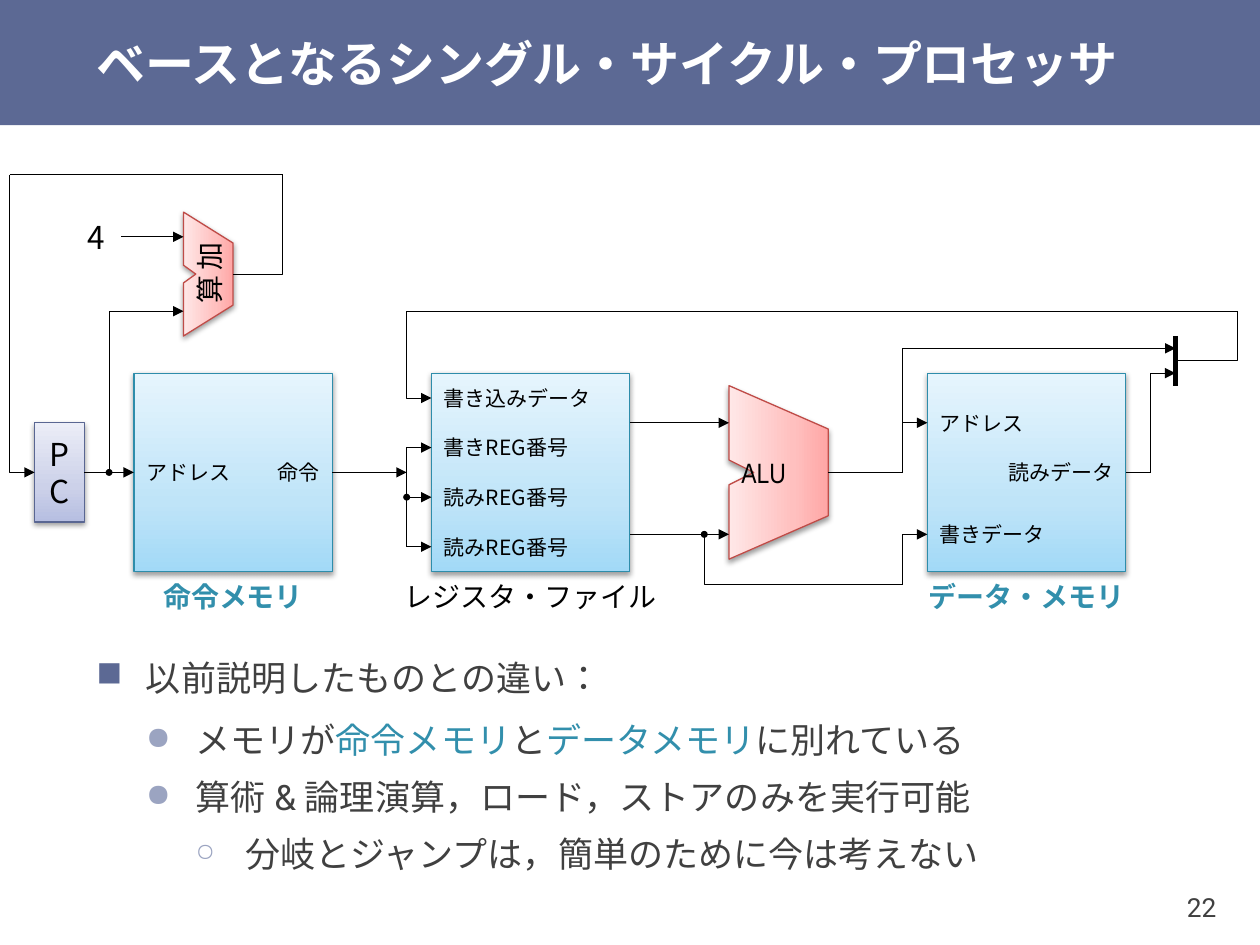
from pptx import Presentation
from pptx.dml.color import RGBColor
from pptx.enum.shapes import MSO_CONNECTOR, MSO_SHAPE
from pptx.enum.text import MSO_ANCHOR, PP_ALIGN
from pptx.oxml import parse_xml
from pptx.oxml.ns import nsdecls, qn
from pptx.util import Pt

INK = {"bar": "5C6994", "text": "404040", "black": "000000", "white": "FFFFFF",
       "teal": "328FAC", "dot": "9BA4C1"}
# Gradient from bottom to top, then the outline
HUES = {"blue": ("A2D9F7", "BFE4F8", "E6F5FD", "2E8DAB"),
        "red": ("FFA6A5", "FFC0BF", "FFE7E7", "BF4C48"),
        "plum": ("B6BEE1", "CCD1E9", "EBEDF7", "596692")}
SANS, CJK = "Roboto", "Noto Sans CJK JP"
UNIT = 14.17  # grid step of the diagram

# Corners in grid steps, start mark, end mark
WIRES = [
    ([(3, 12), (5, 12)], None, "triangle"),
    ([(4, 12), (4, 5.5), (7, 5.5)], "oval", "triangle"),
    ([(4.5, 2.5), (7, 2.5)], None, "triangle"),
    ([(0, 0), (0, 12), (1, 12)], None, "triangle"),
    ([(9, 4), (11, 4), (11, 0)], None, None),
    ([(0, 0), (11, 0)], None, None),
    ([(13, 12), (16, 12)], None, "triangle"),
    ([(16, 15), (16, 11), (17, 11)], None, "triangle"),
    ([(16, 13), (17, 13)], "oval", "triangle"),
    ([(16, 15), (17, 15)], None, "triangle"),
    ([(16, 5.5), (16, 9), (17, 9)], None, "triangle"),
    ([(25, 10), (29, 10)], None, "triangle"),
    ([(25, 14.5), (29, 14.5)], None, "triangle"),
    ([(28, 14.5), (28, 16.5), (36, 16.5)], "oval", None),
    ([(36, 16.5), (36, 14.5), (37, 14.5)], None, "triangle"),
    ([(33, 12), (36, 12)], None, None),
    ([(36, 12), (36, 10), (37, 10)], None, "triangle"),
    ([(36, 10), (36, 7), (47, 7)], None, "triangle"),
    ([(45, 12), (46, 12)], None, None),
    ([(46, 12), (46, 8), (47, 8)], None, "triangle"),
    ([(47, 7.5), (49.5, 7.5), (49.5, 5.5)], None, None),
    ([(49.5, 5.5), (16, 5.5)], None, None),
]

NOTES = [
    (0, "■", 100, [("以前説明したものとの違い：", "text")]),
    (1, "●", 90, [("メモリが", "text"), ("命令メモリ", "teal"), ("と", "text"),
                  ("データメモリ", "teal"), ("に別れている", "text")]),
    (1, "●", 90, [("算術 & 論理演算，ロード，ストアのみを実行可能", "text")]),
    (2, "○", 70, [("分岐とジャンプは，簡単のために今は考えない", "text")]),
]


def rgb(name):
    return RGBColor.from_string(INK[name])


def style(run, size, color, face=CJK, bold=False):
    font = run.font
    font.size, font.bold, font.name = Pt(size), bold, face
    font.color.rgb = rgb(color)
    props = run._r.get_or_add_rPr()
    props.set("lang", "ja-JP")
    props.find(qn("a:latin")).addnext(
        parse_xml(f'<a:ea {nsdecls("a")} typeface="{face}"/>'))


def write(shape, text, size, color="black", face=CJK, align=PP_ALIGN.LEFT,
          bold=False, pad=(7.2, 3.6)):
    """Fill a shape with one paragraph, centred in height."""
    frame = shape.text_frame
    frame.text = text
    frame.word_wrap, frame.vertical_anchor = True, MSO_ANCHOR.MIDDLE
    frame.margin_left = frame.margin_right = Pt(pad[0])
    frame.margin_top = frame.margin_bottom = Pt(pad[1])
    para = frame.paragraphs[0]
    para.alignment = align
    style(para.runs[0], size, color, face, bold)


def glaze(shape, hue):
    """Give a part its gradient, outline and soft shadow."""
    low, mid, high, edge = HUES[hue]
    stops = "".join(f'<a:gs pos="{pos}000"><a:srgbClr val="{val}"/></a:gs>'
                    for pos, val in ((0, low), (35, mid), (100, high)))
    shape.fill.background()
    props = shape._element.spPr
    props.replace(props.find(qn("a:noFill")), parse_xml(
        f'<a:gradFill {nsdecls("a")} rotWithShape="1"><a:gsLst>{stops}</a:gsLst>'
        '<a:lin ang="16200000" scaled="1"/></a:gradFill>'))
    shape.line.color.rgb = RGBColor.from_string(edge)
    shape.line.width = Pt(0.75)
    shape.shadow.inherit = False
    props.find(qn("a:effectLst")).append(parse_xml(
        f'<a:outerShdw {nsdecls("a")} blurRad="40000" dist="20000" dir="5400000"'
        ' rotWithShape="0"><a:srgbClr val="000000"><a:alpha val="38000"/>'
        '</a:srgbClr></a:outerShdw>'))


def block(shapes, left, top, wide, high, hue):
    shape = shapes.add_shape(MSO_SHAPE.RECTANGLE, Pt(left), Pt(top), Pt(wide), Pt(high))
    glaze(shape, hue)
    return shape


def label(shapes, left, top, wide, text, size=12, **look):
    box = shapes.add_textbox(Pt(left), Pt(top), Pt(wide), Pt(2 * UNIT))
    write(box, text, size, **look)


def store(shapes, left, top, name, color, bold, ports):
    """A square memory with port labels inside and its name below."""
    side = 8 * UNIT
    block(shapes, left, top, side, side, "blue")
    for row, text, align in ports:
        label(shapes, left, top + row * UNIT, side, text, align=align, pad=(7.2, 0))
    label(shapes, left - 2 * UNIT, top + side, side + 4 * UNIT, name, 16,
          color=color, bold=bold, align=PP_ALIGN.CENTER, pad=(0, 0))


def unit(shapes, left, top, wide, high, text, face):
    """A notched trapezoid, drawn upright and turned to face right."""
    x, y = left + (wide - high) / 2, top + (high - wide) / 2
    edge = [(0, 0), (3 / 7, 0), (0.5, 0.25), (4 / 7, 0), (1, 0), (0.75, 1), (0.25, 1)]
    pts = [(Pt(x + a * high), Pt(y + b * wide)) for a, b in edge]
    path = shapes.build_freeform(*pts[0])
    path.add_line_segments(pts[1:], close=True)
    shape = path.convert_to_shape()
    shape.rotation = 270
    glaze(shape, "red")
    write(shape, text, 16, face=face, align=PP_ALIGN.CENTER)
    shape.text_frame._txBody.bodyPr.set("vert", "eaVert")


def wire(shapes, pts, head=None, tail=None, width=None):
    """A connector for two points, an open outline for more."""
    pts = [(Pt(x), Pt(y)) for x, y in pts]
    if len(pts) == 2:
        shape = shapes.add_connector(MSO_CONNECTOR.STRAIGHT, *pts[0], *pts[1])
        shape._element.spPr.append(parse_xml(f'<a:effectLst {nsdecls("a")}/>'))
    else:
        path = shapes.build_freeform(*pts[0])
        path.add_line_segments(pts[1:], close=False)
        shape = path.convert_to_shape()
        shape.fill.background()
        shape.shadow.inherit = False
    shape.line.color.rgb = rgb("black")
    shape.line.width = Pt(width or (0.75 if len(pts) == 2 else 0.5))
    for tag, kind, size in (("headEnd", head, "sm"), ("tailEnd", tail, "med")):
        if kind:
            shape._element.spPr.get_or_add_ln().append(parse_xml(
                f'<a:{tag} {nsdecls("a")} type="{kind}" w="{size}" len="{size}"/>'))


def header(slide, wide, high):
    shapes = slide.shapes
    bar = shapes.add_shape(MSO_SHAPE.RECTANGLE, 0, 0, Pt(wide), Pt(high))
    bar.fill.solid()
    bar.fill.fore_color.rgb = rgb("bar")
    bar.line.fill.background()
    bar.shadow.inherit = False
    title = shapes.title
    bar._element.getparent().append(title._element)
    title.left, title.top, title.width, title.height = Pt(48), 0, Pt(wide - 48), Pt(high)
    write(title, "ベースとなるシングル・サイクル・プロセッサ", 28, "white", SANS,
          bold=True, pad=(7.2, 0))


def diagram(shapes, left, top):
    def at(col, row):
        return left + col * UNIT, top + row * UNIT

    near, far = PP_ALIGN.LEFT, PP_ALIGN.RIGHT
    store(shapes, *at(5, 8), "命令メモリ", "teal", True,
          [(3, "アドレス", near), (3, "命令", far)])
    store(shapes, *at(17, 8), "レジスタ・ファイル", "black", False,
          [(2 * row, text, near) for row, text in enumerate(
              ["書き込みデータ", "書きREG番号", "読みREG番号", "読みREG番号"])])
    store(shapes, *at(37, 8), "データ・メモリ", "teal", True,
          [(1, "アドレス", near), (5.5, "書きデータ", near), (3, "読みデータ", far)])
    write(block(shapes, *at(1, 10), 2 * UNIT, 4 * UNIT, "plum"), "PC", 18,
          align=PP_ALIGN.CENTER)
    unit(shapes, *at(29, 8.5), 4 * UNIT, 7 * UNIT, "ALU", "Arial Narrow")
    unit(shapes, *at(7, 1.5), 2 * UNIT, 5 * UNIT, "加算", CJK)
    label(shapes, *at(2.5, 1.5), 2 * UNIT, "4", 18, align=PP_ALIGN.CENTER)
    for pts, head, tail in WIRES:
        wire(shapes, [at(*pt) for pt in pts], head, tail)
    wire(shapes, [at(47, 6.5), at(47, 8.5)], width=3)


def notes(shapes, left, top, wide, high):
    frame = shapes.add_textbox(Pt(left), Pt(top), Pt(wide), Pt(high)).text_frame
    frame.word_wrap = True
    for i, (level, mark, size, parts) in enumerate(NOTES):
        para = frame.paragraphs[0] if i == 0 else frame.add_paragraph()
        para.level, para.line_spacing = level, 1.1
        para.space_after = Pt(3 if level else 6)
        if i:
            para.space_before = Pt(3)
        props = para._p.get_or_add_pPr()
        props.set("marL", str(Pt(28.35 * (level + 1))))
        props.set("indent", str(-Pt(28.35)))
        tint = INK["dot" if level else "bar"]
        for tag in (f'buClr {nsdecls("a")}><a:srgbClr val="{tint}"/></a:buClr>',
                    f'buSzPct {nsdecls("a")} val="{size}000"/>',
                    f'buFont {nsdecls("a")} typeface="OpenSymbol"/>',
                    f'buChar {nsdecls("a")} char="{mark}"/>'):
            props.append(parse_xml("<a:" + tag))
        for text, color in parts:
            run = para.add_run()
            run.text = text
            style(run, 20, color, SANS)


def number(shapes, left, top, wide, high):
    box = shapes.add_textbox(Pt(left), Pt(top), Pt(wide), Pt(high))
    write(box, "22", 15, "text", SANS, PP_ALIGN.RIGHT, pad=(5, 3))


def main():
    deck = Presentation()
    deck.slide_width, deck.slide_height = Pt(720), Pt(540)
    slide = deck.slides.add_slide(deck.slide_layouts[5])
    header(slide, 720, 71.5)
    diagram(slide.shapes, 5.67, 99.9)
    notes(slide.shapes, 48, 369.5, 652, 99.5)
    number(slide.shapes, 643.5, 497, 56.5, 43)
    deck.save("out.pptx")


if __name__ == "__main__":
    main()
